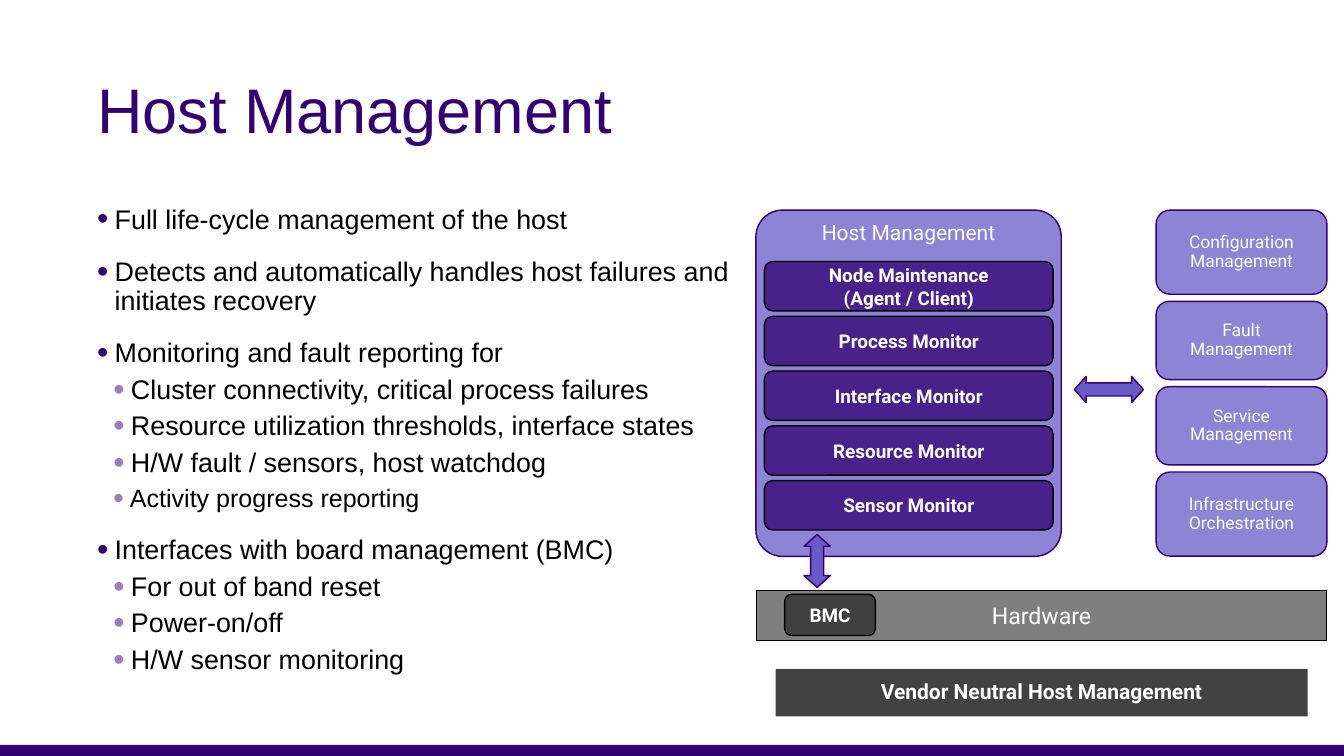
from lxml import etree
from pptx import Presentation
from pptx.dml.color import RGBColor
from pptx.enum.shapes import MSO_SHAPE as Shape
from pptx.enum.text import MSO_ANCHOR as Anchor, PP_ALIGN as Align
from pptx.oxml.ns import qn
from pptx.util import Cm, Pt

COLORS = {
    "indigo": "330072",
    "violet": "685BC7",
    "lilac": "9980B8",
    "black": "000000",
    "white": "FFFFFF",
}

BULLETS = [
    (0, "Full life-cycle management of the host"),
    (0, "Detects and automatically handles host failures and initiates recovery"),
    (0, "Monitoring and fault reporting for"),
    (1, "Cluster connectivity, critical process failures"),
    (1, "Resource utilization thresholds, interface states"),
    (1, "H/W fault / sensors, host watchdog"),
    (1, "Activity progress reporting"),
    (0, "Interfaces with board management (BMC)"),
    (1, "For out of band reset"),
    (1, "Power-on/off"),
    (1, "H/W sensor monitoring"),
]
SMALLER_BULLET = "Activity progress reporting"

MONITORS = [
    "Node Maintenance\n(Agent / Client)",
    "Process Monitor",
    "Interface Monitor",
    "Resource Monitor",
    "Sensor Monitor",
]

SERVICES = [
    ("Configuration\vManagement", 4.24),
    ("Fault\vManagement", 3.94),
    ("Service\vManagement", 3.94),
    ("Infrastructure\vOrchestration", 4.24),
]


def rgb(name):
    return RGBColor.from_string(COLORS[name])


def style_runs(para, font, size, color, bold=False):
    for span in para.runs:
        span.font.name = font
        span.font.size = Pt(size)
        span.font.bold = bold
        span.font.color.rgb = rgb(color)


def set_margins(frame, margin):
    frame.margin_left = frame.margin_right = Cm(margin)
    frame.margin_top = frame.margin_bottom = Cm(margin)


def add_block(page, kind, place, fill, alpha=100, line=None, weight=2, corner=None):
    block = page.shapes.add_shape(kind, *[Cm(length) for length in place])
    block.shadow.inherit = False
    block.fill.solid()
    block.fill.fore_color.rgb = rgb(fill)
    if alpha < 100:
        color = block.fill._xPr.find(qn("a:solidFill"))[0]
        etree.SubElement(color, qn("a:alpha"), val=str(alpha * 1000))
    if line:
        block.line.color.rgb = rgb(line)
        block.line.width = Pt(weight)
    else:
        block.line.fill.background()
    if corner:
        block.adjustments[0] = corner
    return block


def add_label(block, text, size, bold=False, spacing=1.0, anchor=Anchor.MIDDLE, margin=0):
    frame = block.text_frame
    frame.word_wrap = True
    frame.vertical_anchor = anchor
    set_margins(frame, margin)
    frame.text = text
    for para in frame.paragraphs:
        para.alignment = Align.CENTER
        para.line_spacing = spacing
        style_runs(para, "Roboto", size, "white", bold)


def add_arrow(page, place, rotation=0):
    arrow = add_block(page, Shape.LEFT_RIGHT_ARROW, place, "violet", line="indigo")
    arrow.adjustments[0] = 0.5
    arrow.adjustments[1] = 0.45
    arrow.rotation = rotation


def add_text_box(page, place):
    box = page.shapes.add_textbox(*[Cm(length) for length in place])
    frame = box.text_frame
    frame.word_wrap = True
    set_margins(frame, 0.25)
    return frame


def add_title(page):
    frame = add_text_box(page, (4.65, 2.03, 58.42, 7.37))
    frame.vertical_anchor = Anchor.MIDDLE
    frame.text = "Host Management"
    para = frame.paragraphs[0]
    para.line_spacing = 0.9
    style_runs(para, "Arial", 90, "indigo")


def set_bullet(para, level, indent, hanging):
    props = para._p.get_or_add_pPr()
    props.set("marL", str(Cm(indent)))
    props.set("indent", str(-Cm(hanging)))
    color = etree.SubElement(props, qn("a:buClr"))
    etree.SubElement(color, qn("a:srgbClr"), val=COLORS["lilac" if level else "indigo"])
    etree.SubElement(props, qn("a:buSzPct"), val="120000")
    etree.SubElement(props, qn("a:buFont"), typeface="Arial")
    etree.SubElement(props, qn("a:buChar"), char="•")


def add_bullets(page):
    frame = add_text_box(page, (4.65, 10.13, 33.35, 24.18))
    frame.text = "\n".join(text for _, text in BULLETS)
    for index, (para, (level, text)) in enumerate(zip(frame.paragraphs, BULLETS)):
        smaller = text == SMALLER_BULLET
        hanging = 0.83 if smaller else 0.88
        para.level = level
        para.line_spacing = 0.9
        para.space_before = Pt(33 if index and level == 0 else 11)
        set_bullet(para, level, hanging + 0.82 * level, hanging)
        style_runs(para, "Arial", 35.8 if smaller else 38.4, "black")


def add_services(page):
    top, gap = 10.59, 0.36
    for text, height in SERVICES:
        place = (58.27, top, 8.61, height)
        block = add_block(page, Shape.ROUNDED_RECTANGLE, place, "violet", 75, "indigo")
        add_label(block, text, 25, spacing=0.9)
        top += height + gap


def add_host(page):
    host = add_block(page, Shape.ROUNDED_RECTANGLE, (38.1, 10.59, 15.39, 17.45),
                     "violet", 75, "indigo", corner=0.087)
    add_label(host, "Host Management", 30, spacing=0.9, anchor=Anchor.TOP, margin=0.25)
    for row, text in enumerate(MONITORS):
        place = (38.53, 13.18 + 2.76 * row, 14.55, 2.49)
        block = add_block(page, Shape.ROUNDED_RECTANGLE, place, "indigo", 75, "black")
        add_label(block, text, 27, bold=True)


def add_hardware(page):
    hardware = add_block(page, Shape.RECTANGLE, (38.13, 29.74, 28.73, 2.51),
                         "black", 50, "black", weight=1)
    add_label(hardware, "Hardware", 33)
    bmc = add_block(page, Shape.ROUNDED_RECTANGLE, (39.55, 29.95, 4.57, 2.08),
                    "black", 50, "black")
    add_label(bmc, "BMC", 27, bold=True)


def main():
    deck = Presentation()
    deck.slide_width, deck.slide_height = Cm(67.74), Cm(38.1)
    page = deck.slides.add_slide(deck.slide_layouts[6])

    add_block(page, Shape.RECTANGLE, (0, 37.54, 67.74, 0.56), "indigo")
    add_title(page)
    add_bullets(page)
    banner = add_block(page, Shape.RECTANGLE, (39.09, 33.71, 26.82, 2.39), "black", 74)
    add_label(banner, "Vendor Neutral Host Management", 30, bold=True, spacing=0.9)
    add_arrow(page, (54.15, 18.97, 3.48, 1.32))
    add_services(page)
    add_host(page)
    add_hardware(page)
    add_arrow(page, (39.85, 27.61, 2.67, 1.32), rotation=270)

    deck.save("out.pptx")


if __name__ == "__main__":
    main()
